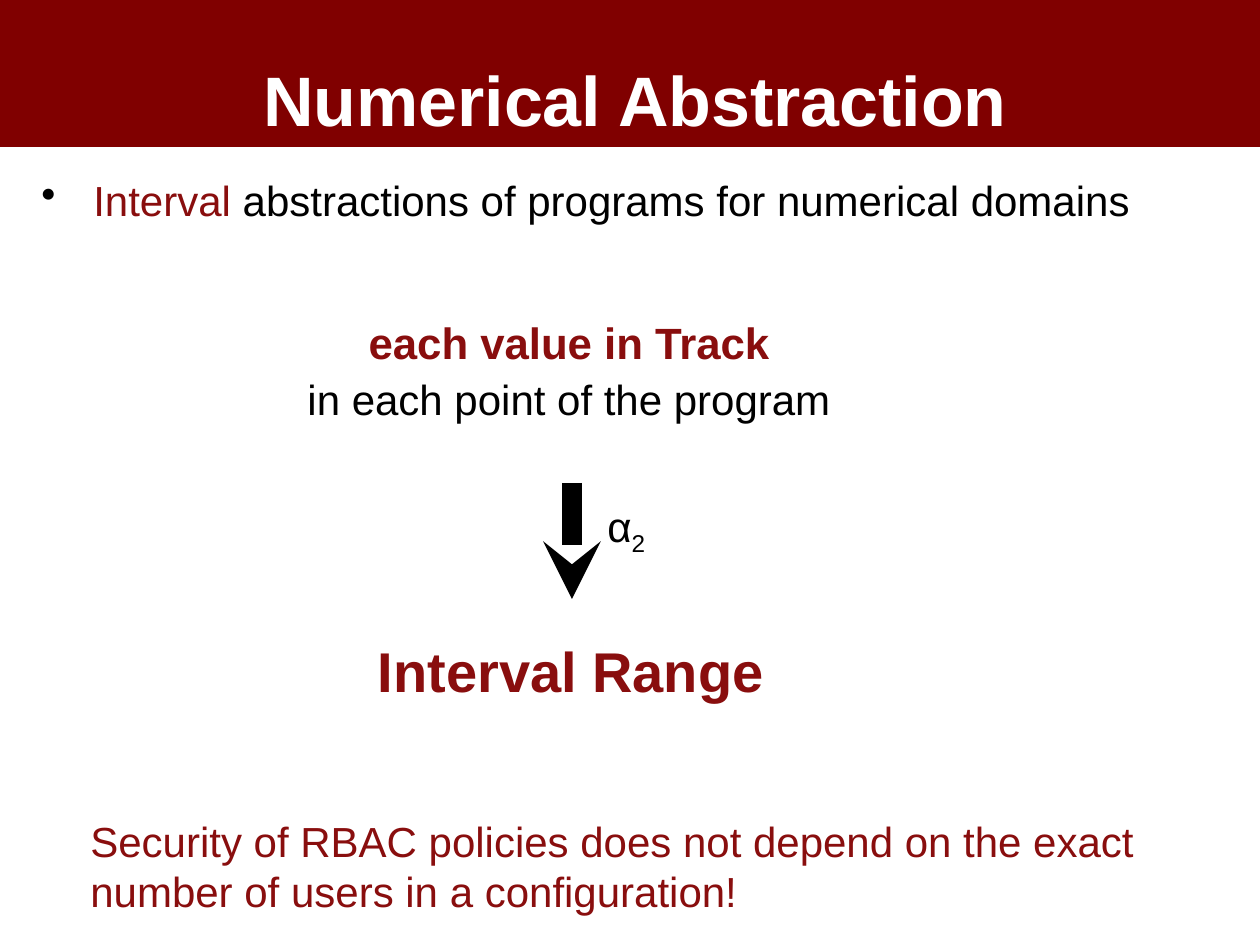
from dataclasses import dataclass

from lxml import etree
from pptx import Presentation
from pptx.dml.color import RGBColor
from pptx.enum.shapes import MSO_CONNECTOR, MSO_SHAPE
from pptx.enum.text import MSO_ANCHOR, PP_ALIGN
from pptx.oxml.ns import qn
from pptx.util import Emu, Pt

EMU_PER_PX = 914400 // 126
LEFT, CENTER = PP_ALIGN.LEFT, PP_ALIGN.CENTER
TOP = MSO_ANCHOR.TOP
RECTANGLE, STRAIGHT = MSO_SHAPE.RECTANGLE, MSO_CONNECTOR.STRAIGHT

FONT = "Arial"
BAND, ACCENT, BLACK, WHITE = "800000", "890E0E", "000000", "FFFFFF"


@dataclass
class Line:
    phrases: list[tuple[str, str]]  # wording and colour
    size: int = 24
    bold: bool = False
    align: PP_ALIGN = LEFT
    spacing: float | None = None
    before: int = 0
    bullet_indent: int = 0


@dataclass
class Block:
    left: int
    top: int
    width: int
    height: int
    lines: list[Line]
    wrap: bool = True


def px(length: int) -> Emu:
    return Emu(length * EMU_PER_PX)


def rgb(colour: str) -> RGBColor:
    return RGBColor.from_string(colour)


def write_lines(frame, lines: list[Line]) -> None:
    for index, line in enumerate(lines):
        paragraph = frame.add_paragraph() if index else frame.paragraphs[0]
        if line.bullet_indent:
            properties = paragraph._p.get_or_add_pPr()
            properties.set("marL", str(px(line.bullet_indent)))
            properties.set("indent", str(-px(line.bullet_indent)))
            bullet_colour = etree.SubElement(properties, qn("a:buClr"))
            etree.SubElement(bullet_colour, qn("a:srgbClr")).set("val", BLACK)
            etree.SubElement(properties, qn("a:buChar")).set("char", "•")
        paragraph.alignment = line.align
        if line.spacing:
            paragraph.line_spacing = line.spacing
        if line.before:
            paragraph.space_before = Pt(line.before)
        paragraph.font.name = FONT
        paragraph.font.size = Pt(line.size)
        paragraph.font.bold = line.bold
        for wording, colour in line.phrases:
            run = paragraph.add_run()
            run.text = wording
            run.font.color.rgb = rgb(colour)


def add_block(slide, block: Block):
    box = slide.shapes.add_textbox(
        px(block.left), px(block.top), px(block.width), px(block.height))
    box.text_frame.word_wrap = block.wrap
    write_lines(box.text_frame, block.lines)
    return box


def add_title_band(slide, title: Line) -> None:
    band = slide.shapes.add_shape(RECTANGLE, 0, 0, px(1260), px(147))
    band.shadow.inherit = False
    band.fill.solid()
    band.fill.fore_color.rgb = rgb(BAND)
    band.line.fill.background()
    frame = band.text_frame
    frame.word_wrap = True
    frame.vertical_anchor = TOP
    frame.margin_left, frame.margin_right = px(10), 0
    frame.margin_top, frame.margin_bottom = px(56), 0
    write_lines(frame, [title])


def add_arrow(slide, x: int, top: int, bottom: int) -> None:
    arrow = slide.shapes.add_connector(STRAIGHT, px(x), px(top), px(x), px(bottom))
    arrow.line.color.rgb = rgb(BLACK)
    arrow.line.width = Pt(11)
    etree.SubElement(arrow.line._get_or_add_ln(), qn("a:tailEnd")).set("type", "stealth")
    etree.SubElement(arrow._element.spPr, qn("a:effectLst"))


def main() -> None:
    deck = Presentation()
    deck.slide_width, deck.slide_height = px(1260), px(945)
    slide = deck.slides.add_slide(deck.slide_layouts[6])

    # Title
    add_title_band(slide, Line([("Numerical Abstraction", WHITE)], 40, True, CENTER))

    # Opening point, abstraction from values to range, conclusion
    blocks = [
        Block(29, 168, 1202, 84, [
            Line([("Interval", ACCENT),
                  (" abstractions of programs for numerical domains", BLACK)],
                 bullet_indent=52)]),
        Block(284, 315, 570, 120, [
            Line([("each value in Track", ACCENT)], 25, True, CENTER, 0.9),
            Line([("in each point of the program", BLACK)],
                 align=CENTER, spacing=0.9, before=6)]),
        Block(286, 630, 570, 90, [
            Line([("Interval Range", ACCENT)], 32, True, CENTER)]),
        Block(78, 809, 1180, 124, [
            Line([("Security of RBAC policies does not depend on the exact "
                   "number of users in a configuration!", ACCENT)])]),
    ]
    for block in blocks:
        add_block(slide, block)

    # Abstraction arrow and its label
    add_arrow(slide, 572, 483, 599)
    label = add_block(slide, Block(
        595, 494, 66, 70, [Line([("α", BLACK), ("2", BLACK)])], wrap=False))
    subscript = label.text_frame.paragraphs[0].runs[1]
    subscript.font._element.set("baseline", "-25000")

    deck.save("out.pptx")


if __name__ == "__main__":
    main()
